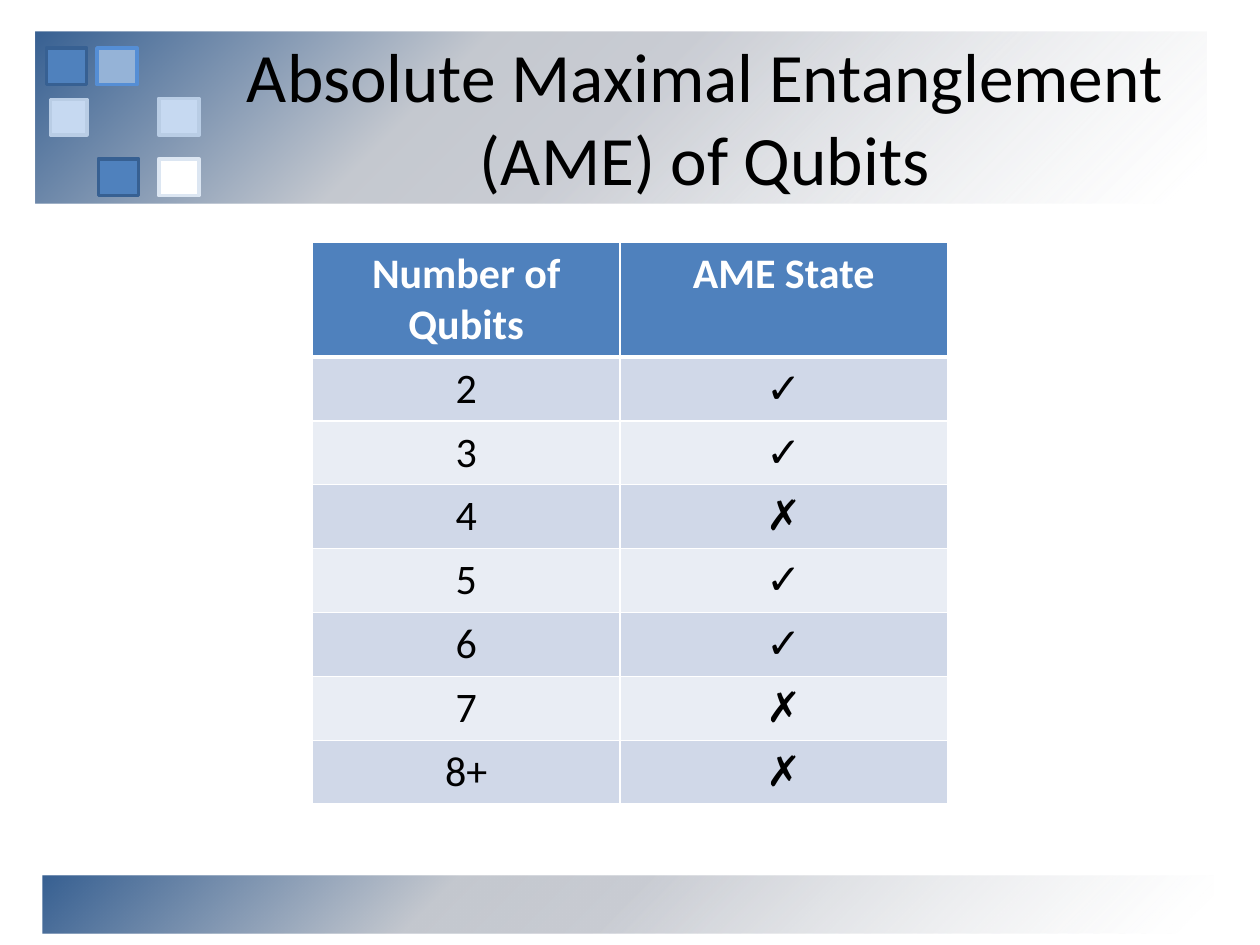
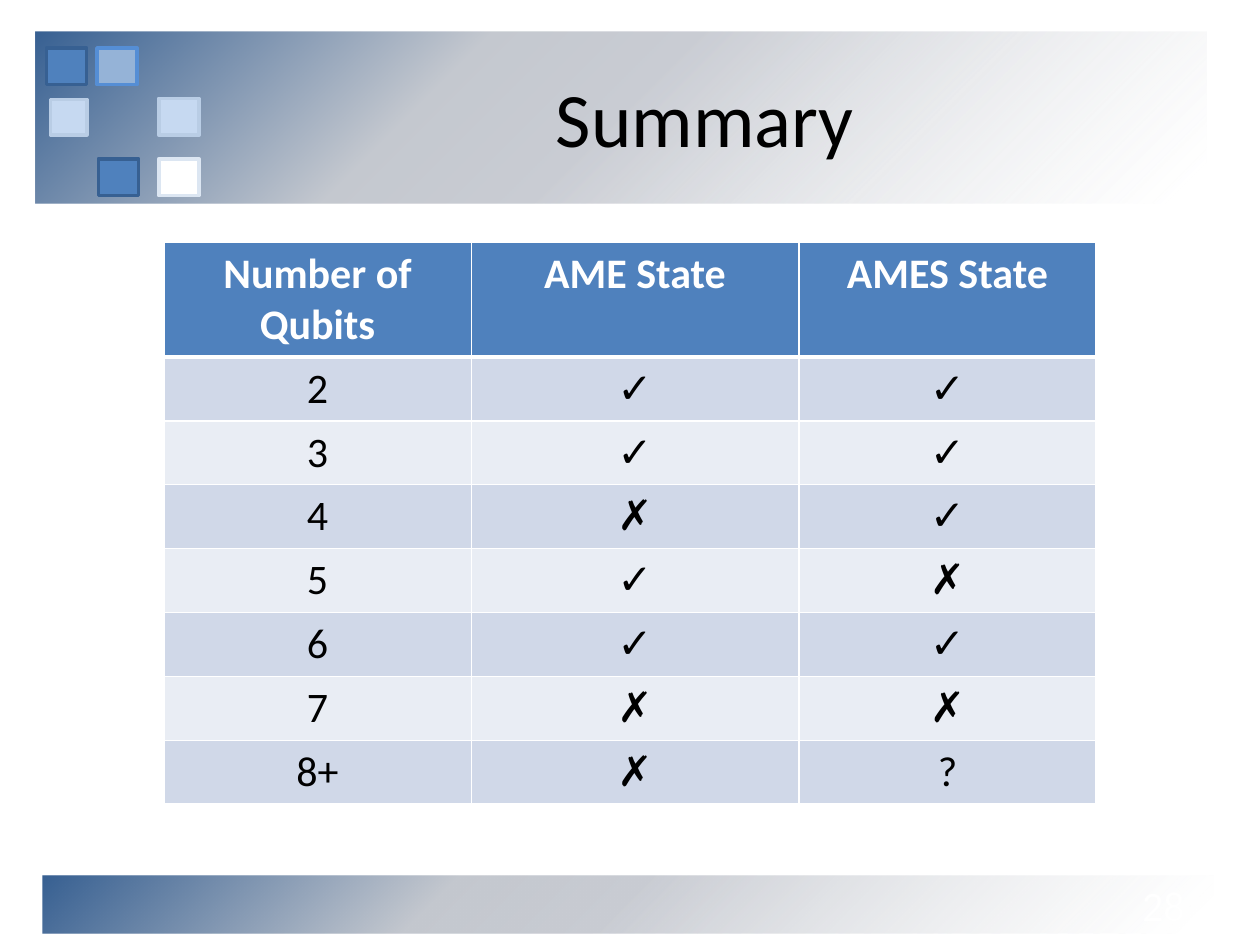
from dataclasses import dataclass

from pptx import Presentation
from pptx.dml.color import RGBColor
from pptx.enum.shapes import MSO_SHAPE
from pptx.enum.text import MSO_ANCHOR as Anchor, MSO_AUTO_SIZE as AutoSize, PP_ALIGN as Align
from pptx.oxml import parse_xml
from pptx.oxml.ns import nsdecls
from pptx.util import Pt


@dataclass(frozen=True)
class Theme:
    """Colours, font and type sizes of the deck."""
    font: str = "Calibri"
    ink: str = "000000"
    white: str = "FFFFFF"
    accent: str = "4F81BD"
    navy: str = "376092"
    sky: str = "C6D9F1"
    sky_edge: str = "B9CDE5"
    steel: str = "95B3D7"
    steel_edge: str = "558ED5"
    frost_edge: str = "DCE6F2"
    odd_row: str = "D0D8E8"
    even_row: str = "E9EDF4"
    title: float = 44
    long_title: float = 39.6
    body: float = 24
    thin: float = 1
    thick: float = 3
    square_line: float = 2


THEME = Theme()
BAND_STOPS = ((0, THEME.navy, 100), (34, "C4C8CF", 100), (49, "C9CCD3", 100), (97, "E2E4E7", 0))
WIDTH, HEIGHT = 720, 540
HEADER = (20.2, 18, 669, 98.6)
FOOTER = (24.5, 500.4, 669, 33.1)
TITLE = (121.7, 21.6, 562.3, 90)
PAGE_NUMBER = (612, 500.4, 72, 33.1)
TABLE_TOP, TABLE_HEIGHT, ROW_HEIGHT = 138.2, 316.8, 29.5
SQUARE = (23, 21)
SQUARES = (
    (70.5, 72.7, *SQUARE, THEME.white, THEME.frost_edge),
    (70.5, 38.2, *SQUARE, THEME.sky, THEME.sky_edge),
    (35.2, 9.4, *SQUARE, THEME.steel, THEME.steel_edge),
    (36, 72.7, *SQUARE, THEME.accent, THEME.navy),
    (6.4, 9.4, *SQUARE, THEME.accent, THEME.navy),
    (8.6, 38.9, 20.9, 20.2, THEME.sky, THEME.sky_edge),
)
YES, NO = "✓", "✗"
QUBITS = ("Number of Qubits", "2", "3", "4", "5", "6", "7", "8+")
AME = ("AME State", YES, YES, NO, YES, YES, NO, NO)
AMES = ("AMES State", YES, YES, YES, NO, YES, NO, "?")
QUBITS_WIDTH, AME_WIDTH, AMES_WIDTH = 175.7, 187.2, 169.9


def rgb(colour):
    """Turn a hex string into a colour."""
    return RGBColor.from_string(colour)


def write(frame, text, size=THEME.body, colour=THEME.ink, bold=False, align=Align.CENTER):
    """Put formatted text into a text frame."""
    paragraph = frame.paragraphs[0]
    paragraph.alignment = align
    run = paragraph.add_run()
    run.text = text
    run.font.name = THEME.font
    run.font.size = Pt(size)
    run.font.bold = bold
    run.font.color.rgb = rgb(colour)


def add_rectangle(slide, box):
    """Add a rectangle without a shadow."""
    rectangle = slide.shapes.add_shape(MSO_SHAPE.RECTANGLE, *map(Pt, box))
    rectangle.shadow.inherit = False
    return rectangle


def add_band(slide, box):
    """Add a band that fades out from its top left corner."""
    band = add_rectangle(slide, box)
    band.line.fill.background()
    stops = "".join(
        f'<a:gs pos="{place * 1000}"><a:srgbClr val="{colour}">'
        f'<a:alpha val="{opacity * 1000}"/></a:srgbClr></a:gs>'
        for place, colour, opacity in BAND_STOPS
    )
    fade = parse_xml(
        f'<a:gradFill {nsdecls("a")} rotWithShape="1"><a:gsLst>{stops}</a:gsLst>'
        '<a:path path="circle"><a:fillToRect r="100000" b="100000"/></a:path></a:gradFill>'
    )
    band.element.spPr.prstGeom.addnext(fade)
    return band


def add_header(slide, box):
    """Add the header band with its squares and return the parts."""
    parts = [add_band(slide, box)]
    for left, top, width, height, colour, edge in SQUARES:
        square = add_rectangle(slide, (box[0] + left, box[1] + top, width, height))
        square.fill.solid()
        square.fill.fore_color.rgb = rgb(colour)
        square.line.color.rgb = rgb(edge)
        square.line.width = Pt(THEME.square_line)
        parts.append(square)
    return parts


def decorate_layout(layout, slide):
    """Move the shared bands behind the layout and place its title."""
    decorations = [add_band(slide, FOOTER), *add_header(slide, HEADER)]
    for index, part in enumerate(decorations):
        layout.shapes.element.insert(2 + index, part.element)
    title = layout.placeholders[0]
    title.left, title.top, title.width, title.height = map(Pt, TITLE)
    title.text_frame.vertical_anchor = Anchor.MIDDLE


def add_title(slide, text, size):
    """Fill the title placeholder."""
    frame = slide.shapes.title.text_frame
    frame.auto_size = AutoSize.NONE
    write(frame, text, size=size)


def set_borders(cell, top, bottom):
    """Draw white borders around a cell."""
    properties = cell._tc.get_or_add_tcPr()
    for side, weight in (("L", THEME.thin), ("R", THEME.thin), ("T", top), ("B", bottom)):
        properties.append(parse_xml(
            f'<a:ln{side} {nsdecls("a")} w="{Pt(weight)}"><a:solidFill>'
            f'<a:srgbClr val="{THEME.white}"/></a:solidFill></a:ln{side}>'
        ))


def add_state_table(slide, box, columns, widths):
    """Add a table of entanglement states, one sequence for each column."""
    count = len(columns[0])
    holder = slide.shapes.add_table(count, len(columns), *map(Pt, box))
    table = holder.table
    for column, width in zip(table.columns, widths):
        column.width = Pt(width)
    for row_index, entries in enumerate(zip(*columns)):
        heading = row_index == 0
        fill = THEME.accent if heading else THEME.odd_row if row_index % 2 else THEME.even_row
        table.rows[row_index].height = Pt(ROW_HEIGHT)
        for cell, entry in zip(table.rows[row_index].cells, entries):
            set_borders(cell, THEME.thick if row_index == 1 else THEME.thin,
                        THEME.thick if heading else THEME.thin)
            cell.fill.solid()
            cell.fill.fore_color.rgb = rgb(fill)
            write(cell.text_frame, entry, bold=heading,
                  colour=THEME.white if heading else THEME.ink)
    holder.height = Pt(box[3])


def add_page_number(slide, box, number):
    """Write the page number at the end of the footer band."""
    frame = slide.shapes.add_textbox(*map(Pt, box)).text_frame
    frame.word_wrap = True
    frame.vertical_anchor = Anchor.MIDDLE
    write(frame, number, colour=THEME.white, align=Align.RIGHT)


def add_state_slide(slide, title, size, columns, widths):
    """Compose a slide of a title and a centred table."""
    add_title(slide, title, size)
    width = sum(widths)
    box = ((WIDTH - width) / 2, TABLE_TOP, width, TABLE_HEIGHT)
    add_state_table(slide, box, columns, widths)


def main():
    """Build and save the deck."""
    deck = Presentation()
    deck.slide_width, deck.slide_height = Pt(WIDTH), Pt(HEIGHT)
    layout = deck.slide_layouts[5]
    qubits = deck.slides.add_slide(layout)
    decorate_layout(layout, qubits)
    add_state_slide(qubits, "Absolute Maximal Entanglement (AME) of Qubits", THEME.long_title,
                    (QUBITS, AME), (QUBITS_WIDTH, AME_WIDTH))
    summary = deck.slides.add_slide(layout)
    add_state_slide(summary, "Summary", THEME.title,
                    (QUBITS, AME, AMES), (QUBITS_WIDTH, AME_WIDTH, AMES_WIDTH))
    add_page_number(summary, PAGE_NUMBER, "28")
    deck.save("out.pptx")


main()
